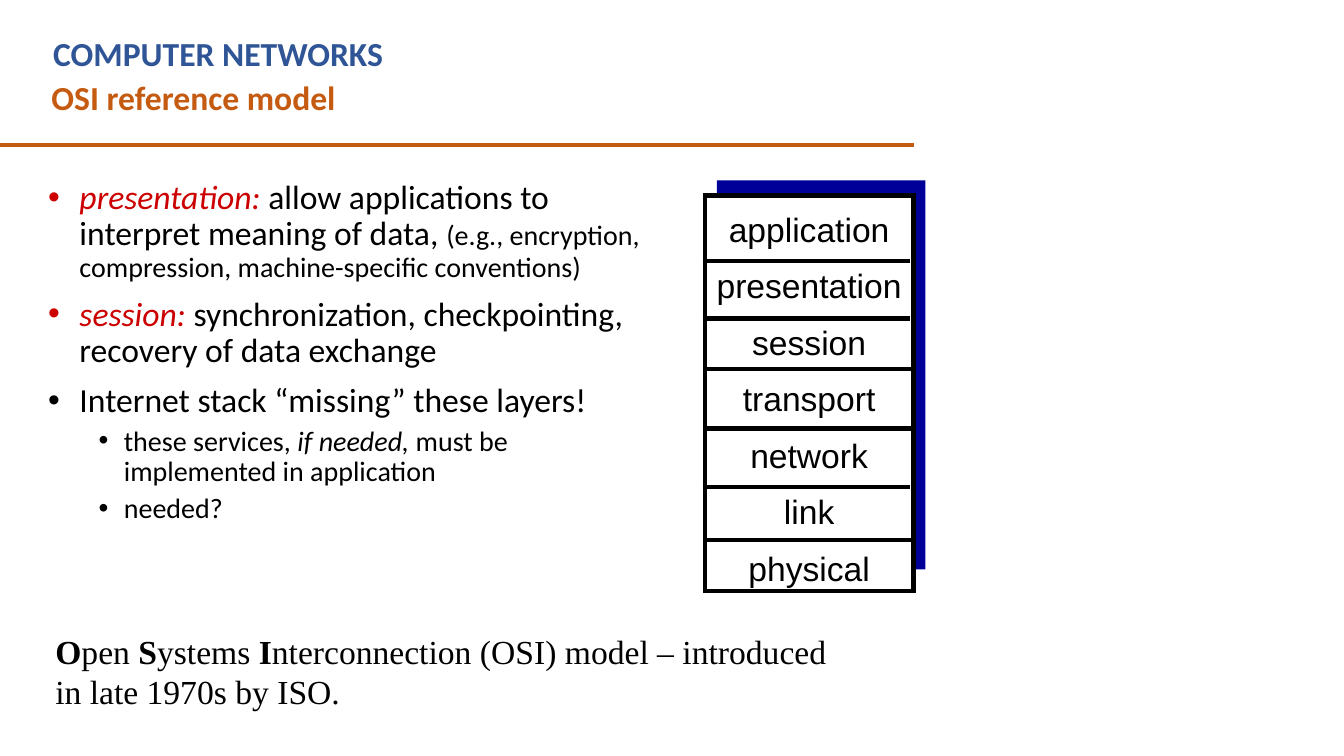
"""Build the OSI reference model slide."""
import dataclasses

import pptx
import pptx.dml.color
import pptx.enum.shapes
import pptx.enum.text
import pptx.util
from lxml import etree
from pptx.oxml.ns import qn

Inches, Pt = pptx.util.Inches, pptx.util.Pt
ALIGN = pptx.enum.text.PP_ALIGN


@dataclasses.dataclass(frozen=True)
class Theme:
    blue: str = "2F5597"
    orange: str = "C55A11"
    red: str = "CC0000"
    navy: str = "000099"
    black: str = "000000"
    white: str = "FFFFFF"
    large: int = 24
    small: int = 20
    stroke: int = 3
    body_font: str = "Calibri"
    stack_font: str = "Arial"
    note_font: str = "Times New Roman"


THEME = Theme()
TERM = {"italic": True, "color": THEME.red}
SMALL = {"size": THEME.small}

COURSE = "COMPUTER NETWORKS"
TOPIC = "OSI reference model"
POINTS = [
    (0, [("presentation:", TERM),
         (" allow applications to interpret meaning of data, ", {}),
         ("(e.g., encryption, compression, machine-specific conventions)", SMALL)]),
    (0, [("session:", TERM),
         (" synchronization, checkpointing, recovery of data exchange", {})]),
    (0, [("Internet stack “missing” these layers!", {})]),
    (1, [("these services, ", SMALL),
         ("if needed,", {**SMALL, "italic": True}),
         (" must be implemented in application", SMALL)]),
    (1, [("needed?", SMALL)]),
]
LAYERS = ["application", "presentation", "session", "transport", "network", "link", "physical"]
NOTE = [("O", {"bold": True}), ("pen ", {}), ("S", {"bold": True}), ("ystems ", {}),
        ("I", {"bold": True}),
        ("nterconnection (OSI) model – introduced in late 1970s by ISO.", {})]

LEVELS = [{"indent": 0.31, "hang": 0.31, "before": 10},
          {"indent": 0.75, "hang": 0.25, "before": 5}]
STACK_SIZE = (2.07, 3.92)
LAYER_GAP = 20.2
DIVIDERS = [(6.97, 2.59), (6.97, 3.16), (6.98, 3.66), (6.98, 4.25), (6.97, 4.83), (6.98, 5.36)]
DIVIDER_WIDTH = 2.06


def rgb(code):
    return pptx.dml.color.RGBColor.from_string(code)


def add_text(paragraph, text, *, font=THEME.body_font, size=THEME.large,
             color=THEME.black, bold=False, italic=False):
    run = paragraph.add_run()
    run.text = text
    run.font.name, run.font.size = font, Pt(size)
    run.font.bold, run.font.italic = bold, italic
    run.font.color.rgb = rgb(color)


def prepare_frame(holder):
    frame = holder.text_frame
    frame.word_wrap = True
    frame.auto_size = pptx.enum.text.MSO_AUTO_SIZE.NONE
    frame.vertical_anchor = pptx.enum.text.MSO_ANCHOR.TOP
    return frame


def add_box(slide, *bounds):
    return prepare_frame(slide.shapes.add_textbox(*map(Inches, bounds)))


def add_paragraphs(frame, count):
    return [frame.paragraphs[0]] + [frame.add_paragraph() for _ in range(count - 1)]


def add_bullet(paragraph, indent, hang):
    properties = paragraph._p.get_or_add_pPr()
    properties.set("marL", str(Inches(indent)))
    properties.set("indent", str(-Inches(hang)))
    etree.SubElement(properties, qn("a:buFont"), typeface="Arial")
    etree.SubElement(properties, qn("a:buChar"), char="•")


def add_rule(slide, left, right, y, color):
    rule = slide.shapes.add_connector(
        pptx.enum.shapes.MSO_CONNECTOR.STRAIGHT, *map(Inches, (left, y, right, y)))
    rule.line.color.rgb = rgb(color)
    rule.line.width = Pt(THEME.stroke)
    etree.SubElement(rule._element.spPr, qn("a:effectLst"))


def add_panel(slide, bounds, fill, outline=None):
    panel = slide.shapes.add_shape(
        pptx.enum.shapes.MSO_SHAPE.RECTANGLE, *map(Inches, bounds))
    panel.shadow.inherit = False
    panel.fill.solid()
    panel.fill.fore_color.rgb = rgb(fill)
    if outline:
        panel.line.color.rgb = rgb(outline)
        panel.line.width = Pt(THEME.stroke)
        border = panel._element.spPr.find(qn("a:ln"))
        etree.SubElement(border, qn("a:miter"), lim="800000")
    else:
        panel.line.fill.background()


def add_header(slide):
    topic = slide.shapes.title
    topic.left, topic.top, topic.width, topic.height = map(Inches, (0.41, 0.71, 8.75, 0.5))
    heading = prepare_frame(topic).paragraphs[0]
    heading.alignment = ALIGN.LEFT
    add_text(heading, TOPIC, color=THEME.orange, bold=True)
    course = add_box(slide, 0.43, 0.28, 8.2, 0.5)
    add_text(course.paragraphs[0], COURSE, color=THEME.blue, bold=True)
    add_rule(slide, -0.01, 9.07, 1.44, THEME.orange)


def add_points(slide):
    frame = add_box(slide, 0.38, 1.74, 6.29, 4.43)
    paragraphs = add_paragraphs(frame, len(POINTS))
    for index, (paragraph, (level, pieces)) in enumerate(zip(paragraphs, POINTS)):
        style = LEVELS[level]
        paragraph.level = level
        paragraph.line_spacing = 0.9
        paragraph.space_before = Pt(style["before"] if index else 0)
        add_bullet(paragraph, style["indent"], style["hang"])
        for text, look in pieces:
            add_text(paragraph, text, **look)


def add_stack(slide):
    add_panel(slide, (7.11, 1.79, 2.07, 3.86), THEME.navy)
    add_panel(slide, (6.99, 1.94, *STACK_SIZE), THEME.white, THEME.black)
    frame = add_box(slide, 6.94, 2.13, 2.17, 3.73)
    paragraphs = add_paragraphs(frame, len(LAYERS))
    for index, (paragraph, layer) in enumerate(zip(paragraphs, LAYERS)):
        paragraph.alignment = ALIGN.CENTER
        paragraph.line_spacing = 0.7
        paragraph.space_before = Pt(LAYER_GAP if index else 0)
        add_text(paragraph, layer, font=THEME.stack_font)
    for left, y in DIVIDERS:
        add_rule(slide, left, left + DIVIDER_WIDTH, y, THEME.black)


def add_note(slide):
    note = add_box(slide, 0.45, 6.21, 8.18, 0.91).paragraphs[0]
    for text, look in NOTE:
        add_text(note, text, font=THEME.note_font, **look)


def main():
    deck = pptx.Presentation()
    deck.slide_width, deck.slide_height = Inches(13.33), Inches(7.5)
    slide = deck.slides.add_slide(deck.slide_layouts[5])
    add_header(slide)
    add_points(slide)
    add_stack(slide)
    add_note(slide)
    deck.save("out.pptx")


if __name__ == "__main__":
    main()
